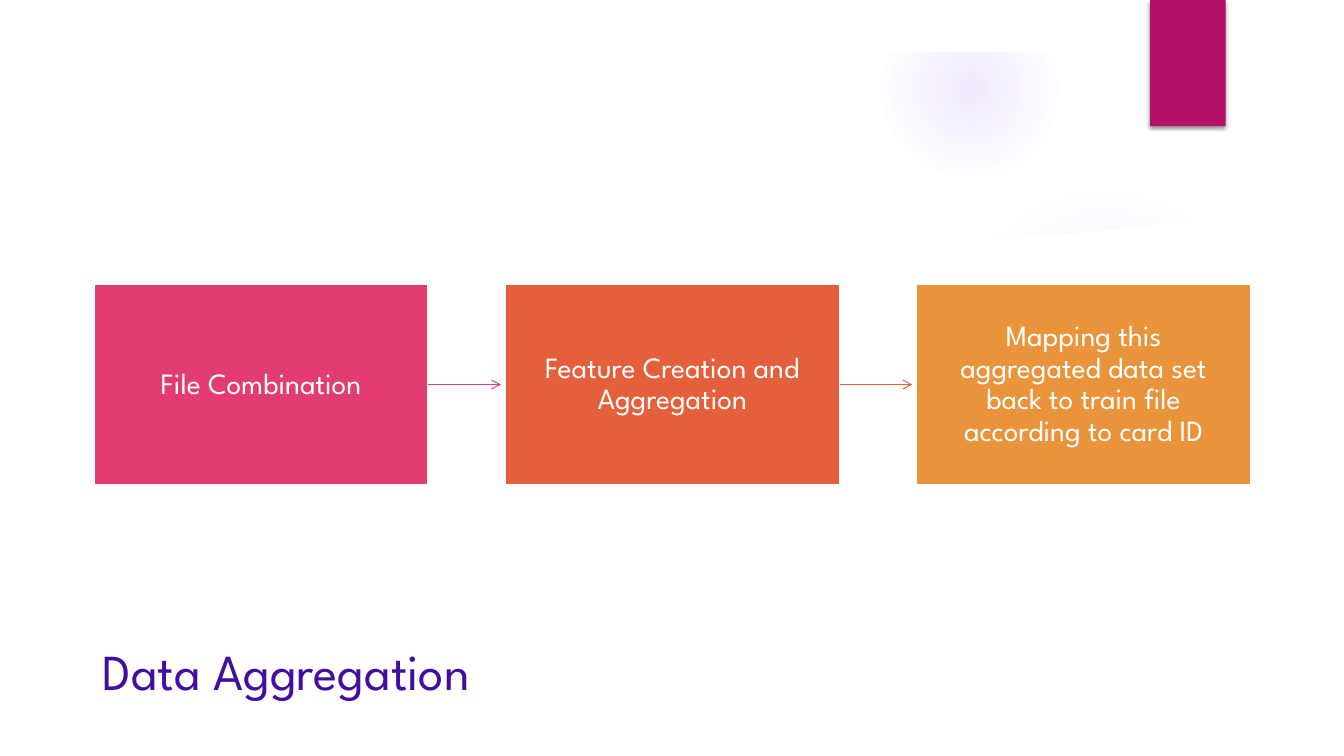
"""Build the Data Aggregation slide: three process steps joined by arrows."""
from lxml import etree
from pptx import Presentation, util as u
from pptx.dml.color import RGBColor
from pptx.enum import shapes, text
from pptx.oxml import parse_xml
from pptx.oxml.ns import nsdecls, qn

PX = 9144
WHITE = RGBColor(0xFF, 0xFF, 0xFF)
PLUM = RGBColor(0xB3, 0x11, 0x66)
INDIGO = RGBColor(0x42, 0x0E, 0xA0)
VIOLET = RGBColor(0x9B, 0x6B, 0xF2)
PINK = RGBColor(0xE3, 0x3D, 0x6F)
CORAL = RGBColor(0xE4, 0x5F, 0x3C)
AMBER = RGBColor(0xE9, 0x94, 0x3A)
FONT = "League Spartan"


def paint(shape, color):
    """Give a shape a flat fill with no outline or shadow."""
    shape.shadow.inherit = False
    shape.fill.solid()
    shape.fill.fore_color.rgb = color
    shape.line.fill.background()


def style(para, size, color):
    """Set the font of every run in a paragraph."""
    for run in para.runs:
        run.font.name = FONT
        run.font.size = u.Pt(size)
        run.font.color.rgb = color


deck = Presentation()
deck.slide_width, deck.slide_height = u.Emu(12192000), 750 * PX
slide = deck.slides.add_slide(deck.slide_layouts[5])
add = slide.shapes.add_shape
RECT = shapes.MSO_SHAPE.RECTANGLE

glows = [(941, 183, 308, [(0, 7), (36, 6), (69, 0)]),
         (875, 1, 175, [(0, 14), (36, 7), (73, 0)])]
for left, top, size, stops in glows:
    glow = add(shapes.MSO_SHAPE.OVAL, left * PX, top * PX, size * PX, size * PX)
    glow.shadow.inherit = False
    glow.line.fill.background()
    marks = "".join(
        f'<a:gs pos="{pos * 1000}"><a:srgbClr val="{VIOLET}">'
        f'<a:alpha val="{alpha * 1000}"/></a:srgbClr></a:gs>'
        for pos, alpha in stops)
    glow._element.spPr.insert(2, parse_xml(
        f'<a:gradFill {nsdecls("a")}><a:gsLst>{marks}</a:gsLst><a:path path="circle">'
        '<a:fillToRect l="50000" t="50000" r="50000" b="50000"/></a:path></a:gradFill>'))

curve = [(50, 700), (1284, 700), (1284, 204), (1228, 213), (1172, 220), (1116, 227),
         (1060, 232), (1004, 237), (949, 241), (867, 245), (760, 247), (657, 248),
         (535, 245), (401, 238), (283, 230), (187, 221), (113, 212)]
pen = slide.shapes.build_freeform(50, 204, scale=PX)
pen.add_line_segments(curve)
paint(pen.convert_to_shape(), WHITE)

pen = slide.shapes.build_freeform(0, 0, scale=PX)
pen.add_line_segments([(0, 750), (1333, 750), (1333, 0)])
pen.move_to(1281, 698)
pen.add_line_segments([(52, 698), (52, 52), (1281, 52)])
paint(pen.convert_to_shape(), WHITE)

tab = add(RECT, 1141 * PX, 0, 75 * PX, 125 * PX)
paint(tab, PLUM)
shade = tab._element.spPr.find(qn("a:effectLst"))
shade.append(parse_xml(
    f'<a:outerShdw {nsdecls("a")} blurRad="38100" dist="25400" dir="5400000">'
    '<a:srgbClr val="000000"><a:alpha val="45000"/></a:srgbClr></a:outerShdw>'))

title = slide.shapes.title
slide.shapes._spTree.append(title._element)
title.left, title.top, title.width, title.height = 92 * PX, 605 * PX, 883 * PX, 120 * PX
title.text_frame.text = "Data Aggregation"
title.text_frame.vertical_anchor = text.MSO_ANCHOR.MIDDLE
title.text_frame.paragraphs[0].alignment = text.PP_ALIGN.LEFT
style(title.text_frame.paragraphs[0], 36, INDIGO)

steps = [("File Combination", PINK),
         ("Feature Creation and Aggregation", CORAL),
         ("Mapping this aggregated data set back to train file according to card ID", AMBER)]
LEFT, TOP, WIDE, HIGH, PITCH = 93, 282, 332, 199, 408
for i, (label, color) in enumerate(steps):
    left = LEFT + i * PITCH
    box = add(RECT, left * PX, TOP * PX, WIDE * PX, HIGH * PX)
    paint(box, color)
    box.line.color.rgb = WHITE
    box.line.width = u.Pt(1.5)
    frame = box.text_frame
    frame.word_wrap = True
    frame.vertical_anchor = text.MSO_ANCHOR.MIDDLE
    frame.margin_left = frame.margin_right = 16 * PX
    frame.margin_top = frame.margin_bottom = 17 * PX
    frame.text = label
    para = frame.paragraphs[0]
    para.alignment = text.PP_ALIGN.CENTER
    para.line_spacing = 0.9
    style(para, 21, WHITE)
    if i < len(steps) - 1:
        mid = TOP * PX + HIGH * PX // 2
        arrow = slide.shapes.add_connector(
            shapes.MSO_CONNECTOR.STRAIGHT, (left + WIDE) * PX, mid,
            (left + PITCH - 4) * PX, mid)
        arrow.begin_connect(box, 3)
        arrow.line.color.rgb = color
        arrow.line.width = u.Pt(0.75)
        etree.SubElement(arrow.line._get_or_add_ln(), qn("a:tailEnd"), type="arrow")
        etree.SubElement(arrow._element.spPr, qn("a:effectLst"))

deck.save("out.pptx")
